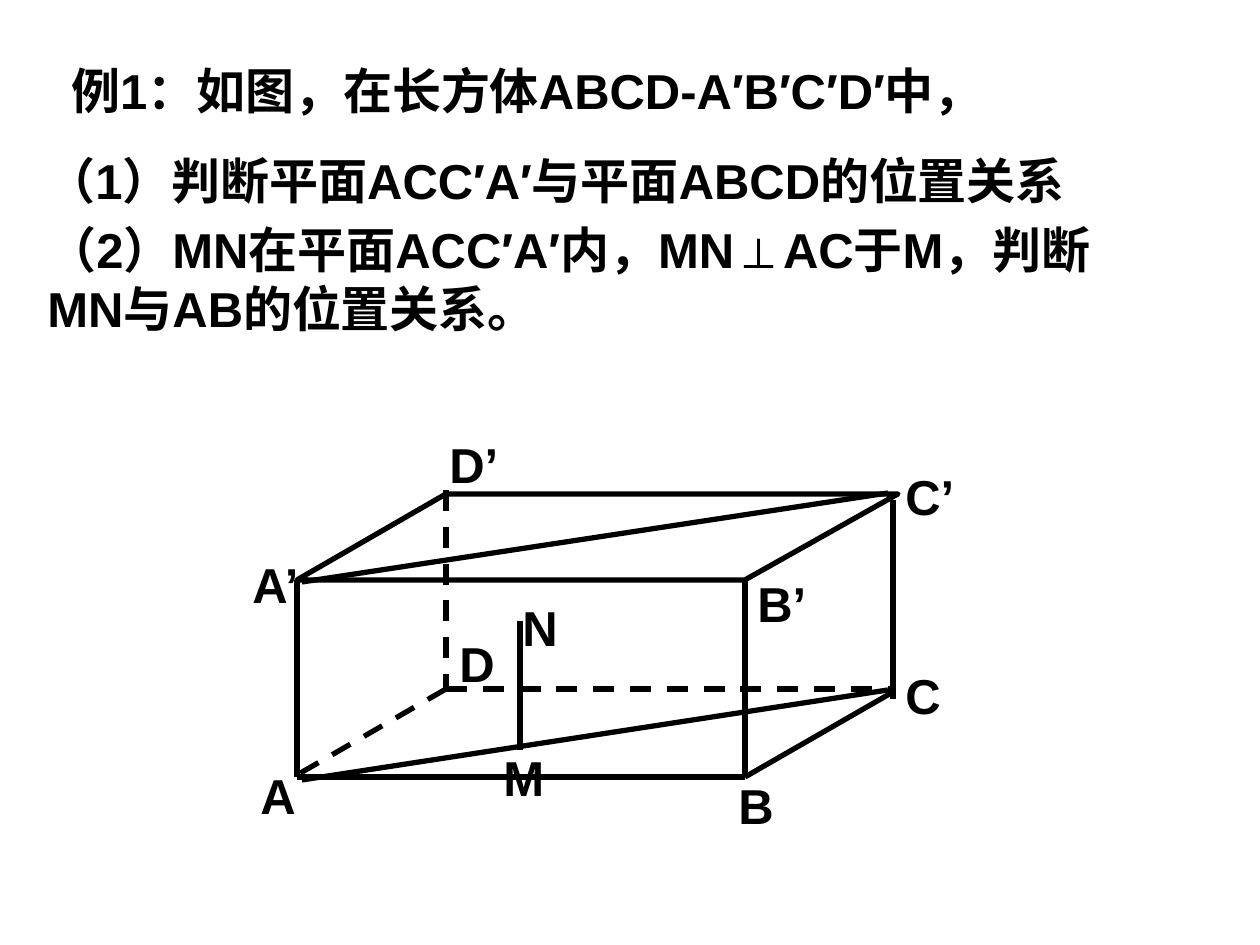
"""Build a geometry slide: a cuboid with its diagonal planes and two questions."""
from lxml import etree
from pptx import Presentation
from pptx import util as u
from pptx.dml.color import RGBColor
from pptx.enum import dml, shapes, text
from pptx.oxml.ns import qn

BLACK = RGBColor(0, 0, 0)
PX = 914400 / 126


def px(*lengths):
    return [u.Emu(round(length * PX)) for length in lengths]


def add_text(slide, wording, left, top, width, height, wrap):
    box = slide.shapes.add_textbox(*px(left, top, width, height))
    frame = box.text_frame
    frame.word_wrap = wrap
    frame.auto_size = text.MSO_AUTO_SIZE.SHAPE_TO_FIT_TEXT
    frame.text = wording
    font = frame.paragraphs[0].runs[0].font
    font.name, font.size, font.bold = "Arial", u.Pt(28), True
    font.color.rgb = BLACK


presentation = Presentation()
presentation.slide_width, presentation.slide_height = px(1260, 945)
slide = presentation.slides.add_slide(presentation.slide_layouts[6])

questions = [
    ("例1：如图，在长方体ABCD-A′B′C′D′中，", 59, 54, 1157, 72),
    ("（1）判断平面ACC′A′与平面ABCD的位置关系", 34, 144, 1226, 72),
    ("（2）MN在平面ACC′A′内，MN⊥AC于M，判断MN与AB的位置关系。", 35, 213, 1142, 131),
]
for question in questions:
    add_text(slide, *question, wrap=True)

builder = slide.shapes.build_freeform(446, 494, scale=PX)
builder.add_line_segments([(297, 580), (745, 580), (898, 494)], close=True)
top_face = builder.convert_to_shape()
top_face.shadow.inherit = False
top_face.fill.background()
top_face.line.color.rgb = BLACK
top_face.line.width = u.Pt(3)

solid_lines = [
    (745, 580, 745, 777),
    (893, 500, 893, 699),
    (297, 580, 297, 777),
    (893, 692, 745, 777),
    (297, 777, 745, 777),
    (520, 621, 520, 750),
    (302, 582, 888, 493),
    (302, 780, 888, 690),
]
hidden_edges = [
    (446, 490, 446, 689),
    (446, 689, 893, 689),
    (446, 689, 297, 775),
]
for ends in solid_lines + hidden_edges:
    connector = slide.shapes.add_connector(shapes.MSO_CONNECTOR.STRAIGHT, *px(*ends))
    connector.line.color.rgb = BLACK
    connector.line.width = u.Pt(3)
    if ends in hidden_edges:
        connector.line.dash_style = dml.MSO_LINE.DASH
    etree.SubElement(connector.element.spPr, qn("a:effectLst"))

labels = [
    ("A", 248, 759, 60),
    ("B", 726, 769, 60),
    ("C", 893, 659, 60),
    ("D", 447, 627, 60),
    ("A’", 240, 548, 74),
    ("B’", 745, 567, 74),
    ("C’", 893, 460, 74),
    ("D’", 437, 428, 74),
    ("M", 491, 741, 66),
    ("N", 510, 591, 60),
]
for letter, left, top, width in labels:
    add_text(slide, letter, left, top, width, 72, wrap=False)

presentation.save("out.pptx")
